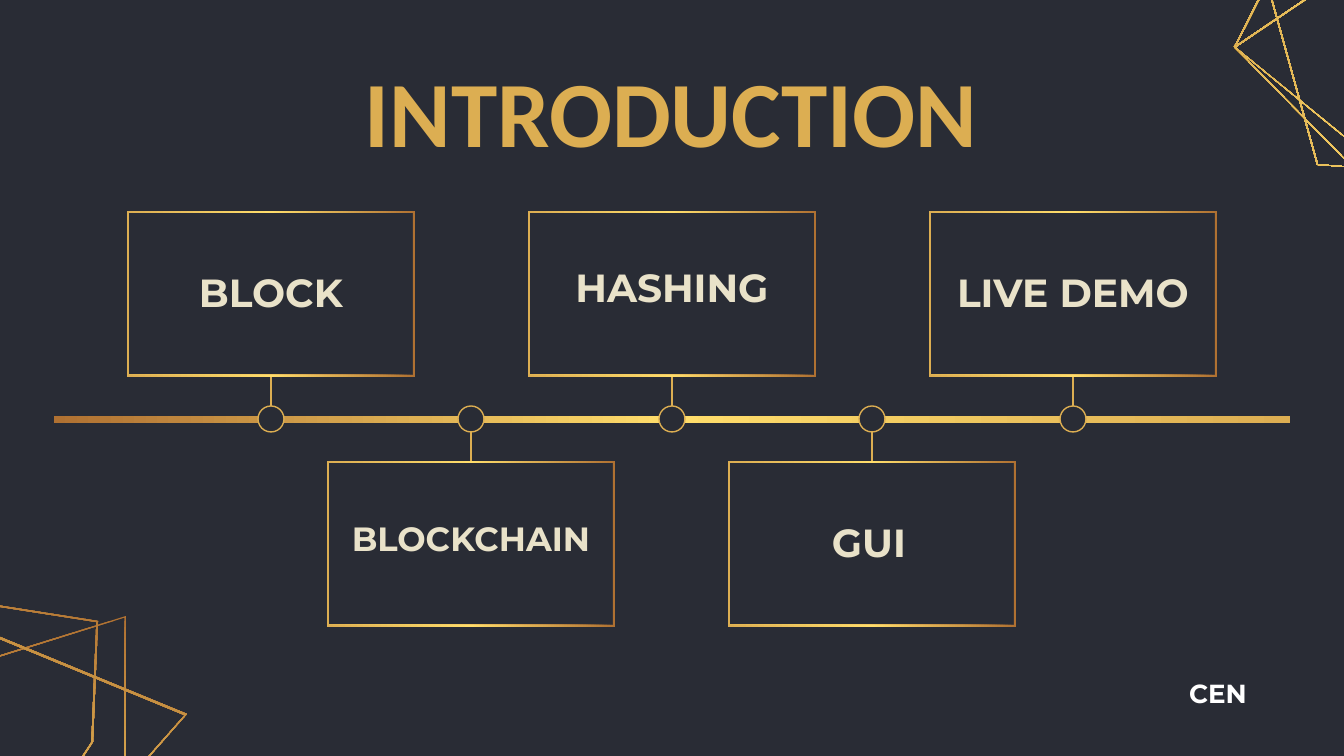
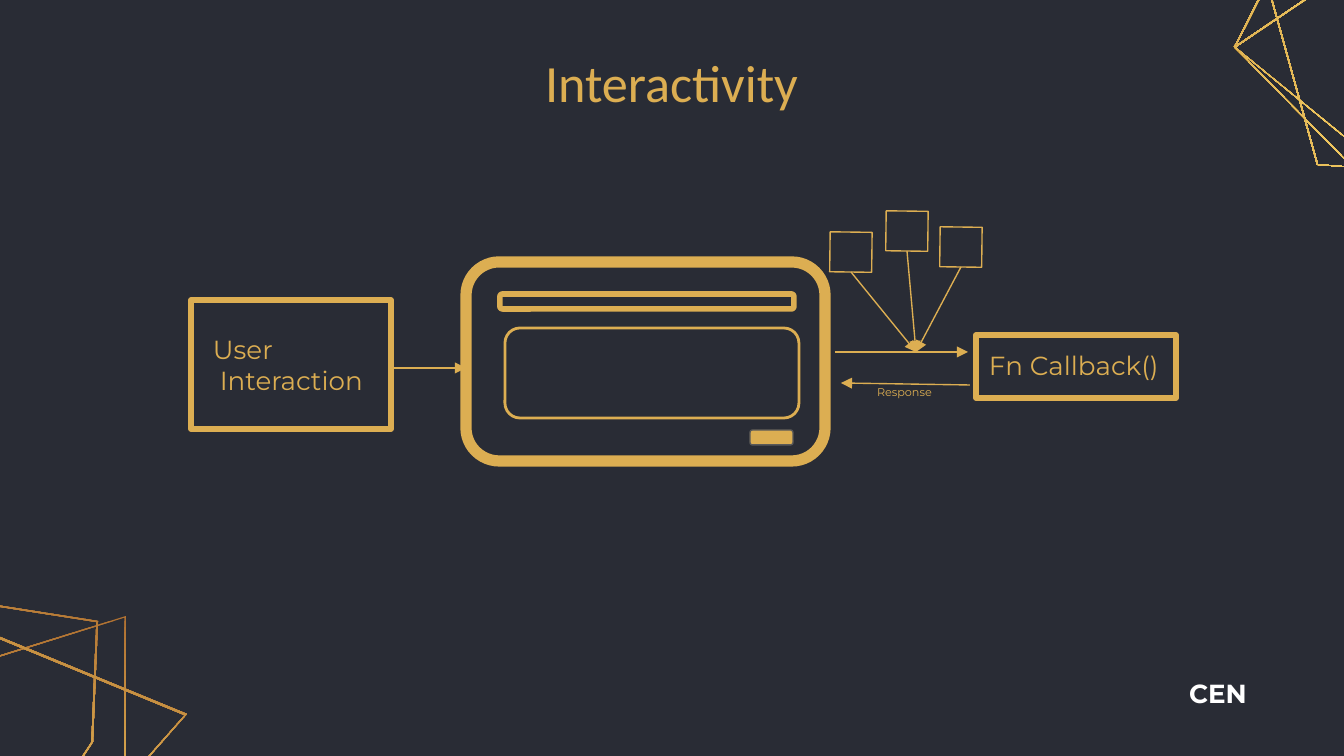
from dataclasses import dataclass
from typing import NamedTuple

from lxml import etree
from pptx import Presentation
from pptx import util as u
from pptx.dml.color import RGBColor
from pptx.enum import shapes, text
from pptx.oxml import parse_xml
from pptx.oxml.ns import nsdecls, qn

PX = 914400 / 134.4
SHAPE = shapes.MSO_SHAPE


@dataclass(frozen=True)
class Theme:
    background: str = "292C35"
    gold: str = "DCAE52"
    cream: str = "E9E2C9"
    white: str = "FFFFFF"
    grey: str = "595959"
    gradient: tuple[str, ...] = ("AF7132", "FFDD6B", "DCAE52")
    title_font: str = "Calibri"
    body_font: str = "Montserrat"
    headline: int = 50
    heading: int = 28
    label: int = 21
    label_small: int = 18
    body: int = 14
    caption: int = 6
    hairline: float = 0.75
    inset: int = 13


T = Theme()


class Point(NamedTuple):
    x: float
    y: float


class Box(NamedTuple):
    x: int
    y: int
    w: int
    h: int

    def corners(self, inset: int = 0) -> list[Point]:
        left, top = self.x + inset, self.y + inset
        right, bottom = self.x + self.w - inset, self.y + self.h - inset
        return [Point(left, top), Point(right, top), Point(right, bottom), Point(left, bottom)]


class Wire(NamedTuple):
    angle: int
    points: list[tuple[int, int]]


class Milestone(NamedTuple):
    name: str
    size: int = T.label
    dx: int = 0
    dy: int = 0


class Outline(NamedTuple):
    kind: SHAPE
    box: Box
    width: float


class Note(NamedTuple):
    box: Box
    lines: list[str]
    size: int = T.body


class Arrow(NamedTuple):
    start: Point
    end: Point


WIRES = [
    Wire(90, [(-206, 1208), (-438, 792), (126, 616), (126, 864)]),
    Wire(175, [(1255, -59), (1400, -130), (1582, 30), (1625, 149), (1554, 183), (1317, 165)]),
    Wire(175, [(1234, 47), (1288, -60), (1614, 28), (1636, 230), (1349, 164)]),
    Wire(175, [(1234, 47), (1490, -126), (1636, 229), (1474, 243)]),
    Wire(114, [(-450, 965), (-439, 716), (-93, 591), (98, 621), (93, 742), (-105, 1046)]),
    Wire(114, [(-351, 1118), (-454, 969), (-97, 597), (187, 714), (-109, 1050)]),
]
MILESTONES = [
    Milestone("BLOCK"),
    Milestone("BLOCKCHAIN", size=T.label_small),
    Milestone("HASHING", dy=-5),
    Milestone("GUI", dx=-3),
    Milestone("LIVE DEMO"),
]
OUTLINES = [
    Outline(SHAPE.ROUNDED_RECTANGLE, Box(466, 262, 359, 199), 6),
    Outline(SHAPE.ROUNDED_RECTANGLE, Box(500, 294, 294, 15), 3),
    Outline(SHAPE.ROUNDED_RECTANGLE, Box(505, 328, 294, 90), 1.5),
    Outline(SHAPE.RECTANGLE, Box(191, 300, 200, 129), 3),
    Outline(SHAPE.RECTANGLE, Box(976, 335, 200, 63), 3),
]
NOTES = [
    Note(Box(200, 320, 200, 90), ["User", " Interaction"]),
    Note(Box(976, 336, 200, 59), ["Fn Callback()"]),
    Note(Box(864, 372, 413, 40), ["Response"], T.caption),
]
ARROWS = [
    Arrow(Point(394, 368), Point(466, 368)),
    Arrow(Point(835, 352), Point(968, 352)),
    Arrow(Point(970, 385), Point(841, 383)),
]
INPUT_CENTRES = [Point(851, 252), Point(907, 231), Point(961, 247)]
INPUT_TARGET = Point(916, 352)


def emu(*lengths: float) -> list[int]:
    return [round(n * PX) for n in lengths]


def rgb(colour: str) -> RGBColor:
    return RGBColor.from_string(colour)


def fill_gradient(sp, angle: int) -> None:
    """Replace the fill of a shape by the gold gradient, turned clockwise by angle."""
    sp.fill.background()
    stops = "".join(
        f'<a:gs pos="{i * 50000}"><a:srgbClr val="{c}"/></a:gs>'
        for i, c in enumerate(T.gradient)
    )
    grad = parse_xml(
        f'<a:gradFill {nsdecls("a")} rotWithShape="1"><a:gsLst>{stops}</a:gsLst>'
        f'<a:lin ang="{angle * 60000}" scaled="0"/></a:gradFill>'
    )
    pr = sp.element.spPr
    pr.replace(pr.find(qn("a:noFill")), grad)
    sp.line.fill.background()


def add_shape(s, kind: SHAPE, box: Box, fill: str | None = None,
              line: str = T.gold, width: float = T.hairline):
    sp = s.shapes.add_shape(kind, *emu(*box))
    sp.shadow.inherit = False
    if fill:
        sp.fill.solid()
        sp.fill.fore_color.rgb = rgb(fill)
    else:
        sp.fill.background()
    sp.line.color.rgb = rgb(line)
    sp.line.width = u.Pt(width)
    return sp


def add_ribbon(s, outer: list[Point], inner: list[Point], angle: int):
    """Draw the thin band between two closed outlines."""
    outer, inner = ([emu(*pt) for pt in pts] for pts in (outer, inner))
    builder = s.shapes.build_freeform(*outer[0])
    builder.add_line_segments(outer[1:], close=True)
    builder.move_to(*inner[0])
    builder.add_line_segments(inner[1:], close=True)
    sp = builder.convert_to_shape()
    sp.shadow.inherit = False
    fill_gradient(sp, angle)
    return sp


def add_line(s, start: Point, end: Point, arrow: bool = False) -> None:
    sp = s.shapes.add_connector(shapes.MSO_CONNECTOR.STRAIGHT, *emu(*start, *end))
    sp.line.color.rgb = rgb(T.gold)
    sp.line.width = u.Pt(T.hairline)
    if arrow:
        etree.SubElement(sp.line._get_or_add_ln(), qn("a:tailEnd"), type="triangle")
    etree.SubElement(sp.element.spPr, qn("a:effectLst"))


def write(sp, lines: list[str], size: int, colour: str = T.gold, font: str = T.body_font,
          bold: bool = False, centred: bool = False) -> None:
    tf = sp.text_frame
    tf.word_wrap = True
    tf.auto_size = text.MSO_AUTO_SIZE.NONE
    tf.margin_left = tf.margin_top = tf.margin_right = tf.margin_bottom = emu(T.inset)[0]
    tf.text = "\n".join(lines)
    for p in tf.paragraphs:
        p.alignment = text.PP_ALIGN.CENTER if centred else text.PP_ALIGN.LEFT
        p.font.name, p.font.size, p.font.bold = font, u.Pt(size), bold
        p.font.color.rgb = rgb(colour)


def add_text(s, box: Box, lines: list[str], size: int, **style):
    sp = s.shapes.add_textbox(*emu(*box))
    write(sp, lines, size, **style)
    return sp


def set_title(s, title: str, y: int, size: int, bold: bool) -> None:
    sp = s.shapes.title
    sp.left, sp.top, sp.width, sp.height = emu(293, y, 757, 63)
    write(sp, [title], size, font=T.title_font, bold=bold, centred=True)
    sp.text_frame.vertical_anchor = text.MSO_ANCHOR.MIDDLE


def add_wire(s, wire: Wire):
    """Draw a polygon as a thin ribbon by shrinking it slightly towards its middle."""
    count = len(wire.points)
    cx, cy = (sum(values) / count for values in zip(*wire.points))
    inner = [Point(cx + (x - cx) * 0.993, cy + (y - cy) * 0.993) for x, y in wire.points]
    return add_ribbon(s, wire.points, inner, wire.angle)


def decorate_layout(layout, s) -> None:
    """Build the shared decoration with the tools of a slide and move it to its layout."""
    shared = [add_text(s, Box(1176, 664, 128, 59), ["CEN"], T.body, colour=T.white, bold=True)]
    shared += [add_wire(s, wire) for wire in WIRES]
    for sp in shared:
        layout.shapes.element.append(sp.element)


def build_introduction(s) -> None:
    set_title(s, "INTRODUCTION", 79, T.headline, bold=True)
    fill_gradient(add_shape(s, SHAPE.RECTANGLE, Box(54, 416, 1236, 7)), 0)
    axis, radius = 419, 13
    for i, item in enumerate(MILESTONES):
        cx = 271 + 401 * i // 2
        above = i % 2 == 0
        frame = Box(cx - 144, 211 if above else 461, 288, 166)
        add_shape(s, SHAPE.OVAL, Box(cx - radius, axis - radius, 2 * radius, 2 * radius),
                  fill=T.background)
        add_ribbon(s, frame.corners(), frame.corners(2), 180)
        if above:
            add_line(s, Point(cx, frame.y + frame.h), Point(cx, axis - radius))
        else:
            add_line(s, Point(cx, axis + radius), Point(cx, frame.y))
        add_text(s, Box(cx - 146 + item.dx, frame.y + 44 + item.dy, 292, 128),
                 [item.name], item.size, colour=T.cream, bold=True, centred=True)


def build_interactivity(s) -> None:
    set_title(s, "Interactivity", 50, T.heading, bold=False)
    for kind, box, width in OUTLINES:
        add_shape(s, kind, box, width=width)
    add_shape(s, SHAPE.ROUNDED_RECTANGLE, Box(750, 430, 43, 15), fill=T.gold, line=T.grey)
    for note in NOTES:
        add_text(s, *note)
    for start, end in ARROWS:
        add_line(s, start, end, arrow=True)
    for cx, cy in INPUT_CENTRES:
        sp = add_shape(s, SHAPE.RECTANGLE, Box(cx - 20, cy - 21, 40, 42))
        sp.rotation = 270.7
        add_line(s, Point(cx, cy + 20), INPUT_TARGET, arrow=True)


def main() -> None:
    prs = Presentation()
    prs.slide_width, prs.slide_height = emu(1344, 756)
    fill = prs.slide_master.background.fill
    fill.solid()
    fill.fore_color.rgb = rgb(T.background)
    layout = prs.slide_layouts.get_by_name("Title Only")
    introduction, interactivity = (prs.slides.add_slide(layout) for _ in range(2))
    decorate_layout(layout, introduction)
    build_introduction(introduction)
    build_interactivity(interactivity)
    prs.save("out.pptx")


if __name__ == "__main__":
    main()
